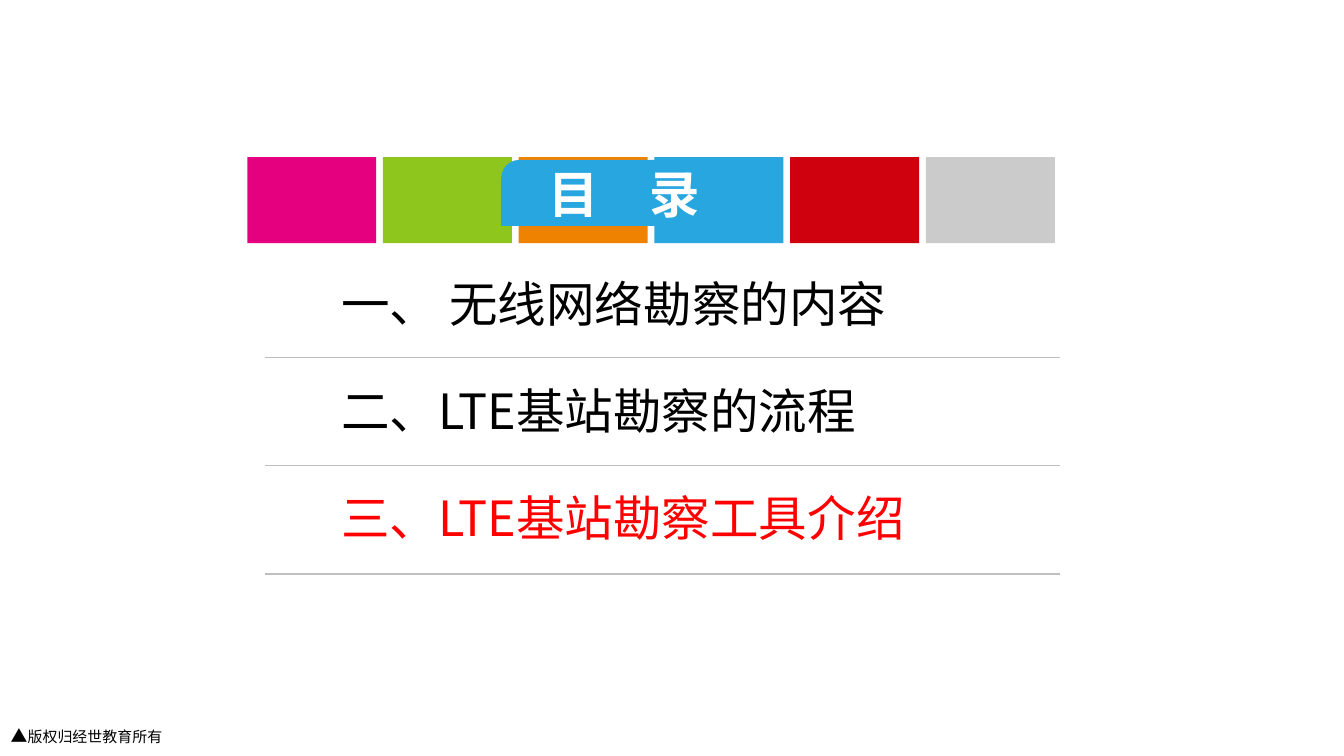
from dataclasses import dataclass

from lxml.etree import SubElement
from pptx import Presentation
from pptx.dml.color import RGBColor
from pptx.enum.shapes import MSO_CONNECTOR as Link, MSO_SHAPE as Kind
from pptx.enum.text import MSO_ANCHOR as Anchor, MSO_AUTO_SIZE as Fit, PP_ALIGN as Align
from pptx.oxml.ns import qn
from pptx.util import Inches, Pt


@dataclass(frozen=True)
class Theme:
    font: str = "Noto Sans CJK SC"
    black: str = "000000"
    white: str = "FFFFFF"
    red: str = "FF0000"
    rule: str = "BFBFBF"
    blue: str = "28A6E0"
    bars: tuple = ("E4007E", "8EC61D", "EF8200", "28A6E0", "CF010E", "CBCBCB")
    head: float = 27
    item: float = 26
    mark: float = 9
    note: float = 8


@dataclass(frozen=True)
class Box:
    left: float
    top: float
    width: float
    height: float

    def dims(self) -> tuple:
        return tuple(map(Inches, (self.left, self.top, self.width, self.height)))


@dataclass(frozen=True)
class Item:
    text: str
    color: str


THEME = Theme()
ITEMS = (
    Item("一、 无线网络勘察的内容", THEME.black),
    Item("二、LTE基站勘察的流程", THEME.black),
    Item("三、LTE基站勘察工具介绍", THEME.red),
)


def add_block(page, kind: Kind, box: Box, color: str):
    block = page.shapes.add_shape(kind, *box.dims())
    block.shadow.inherit = False
    block.fill.solid()
    block.fill.fore_color.rgb = RGBColor.from_string(color)
    block.line.fill.background()
    return block


def add_rule(page, left: float, right: float, top: float) -> None:
    rule = page.shapes.add_connector(
        Link.STRAIGHT, Inches(left), Inches(top), Inches(right), Inches(top))
    rule.line.color.rgb = RGBColor.from_string(THEME.rule)
    rule.line.width = Pt(0.75)
    SubElement(rule.element.spPr, qn("a:effectLst"))


def place(shape, box: Box, inset: float = 0.05) -> None:
    shape.left, shape.top, shape.width, shape.height = box.dims()
    frame = shape.text_frame
    frame.auto_size = Fit.NONE
    frame.margin_left = frame.margin_right = Inches(0.09)
    frame.margin_top = frame.margin_bottom = Inches(inset)


def style(para, size: float, color: str, bold: bool = False) -> None:
    font = para.font
    font.name, font.size, font.bold = THEME.font, Pt(size), bold
    font.color.rgb = RGBColor.from_string(color)
    props = para._p.pPr.find(qn("a:defRPr"))
    SubElement(props, qn("a:ea")).set("typeface", THEME.font)


def add_head(page) -> None:
    for step, color in enumerate(THEME.bars):
        add_block(page, Kind.RECTANGLE, Box(1.84 + 1.01 * step, 1.17, 0.96, 0.64), color)
    box = Box(3.73, 1.19, 1.83, 0.49)
    tab = add_block(page, Kind.ROUND_2_SAME_RECTANGLE, box, THEME.blue)
    tab.adjustments[0] = 0.27
    title = page.shapes.title
    tab.element.addnext(title.element)
    place(title, box)
    title.text_frame.vertical_anchor = Anchor.MIDDLE
    para = title.text_frame.paragraphs[0]
    para.text = "目　录"
    para.alignment = Align.CENTER
    style(para, THEME.head, THEME.white, True)


def add_list(page) -> None:
    body = page.placeholders[1]
    place(body, Box(2.45, 1.99, 5, 2.13))
    frame = body.text_frame
    frame.text = "\n".join(item.text for item in ITEMS)
    for row, (para, item) in enumerate(zip(frame.paragraphs, ITEMS)):
        para.space_before = Pt(26.2 if row else 0)
        props = para._p.get_or_add_pPr()
        props.set("marL", "0")
        props.set("indent", "0")
        SubElement(props, qn("a:buNone"))
        style(para, THEME.item, item.color)
        add_rule(page, 1.97, 7.89, 2.66 + 0.805 * row)


def add_note(page) -> None:
    box = Box(-0.01, 5.36, 1.3, 0.24)
    note = page.shapes.add_textbox(*box.dims())
    place(note, box, 0.04)
    note.text_frame.word_wrap = False
    para = note.text_frame.paragraphs[0]
    mark = para.add_run()
    mark.text = "▲"
    mark.font.size = Pt(THEME.mark)
    para.add_run().text = "版权归经世教育所有"
    style(para, THEME.note, THEME.black)


def main() -> None:
    deck = Presentation()
    deck.slide_width, deck.slide_height = Inches(10), Inches(5.625)
    page = deck.slides.add_slide(deck.slide_layouts[1])
    add_note(page)
    add_head(page)
    add_list(page)
    deck.save("out.pptx")


if __name__ == "__main__":
    main()
